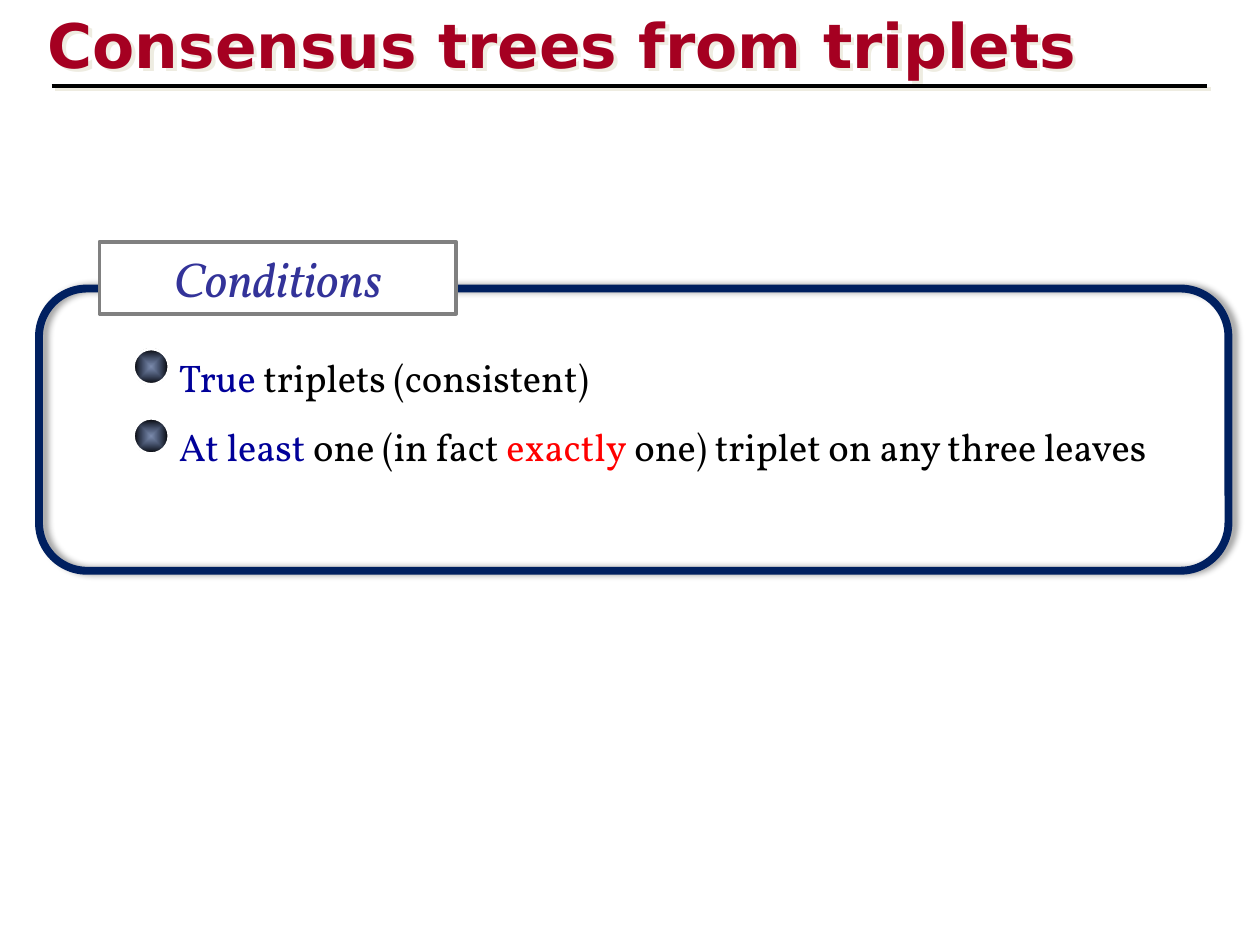
import pptx
import pptx.dml.color
import pptx.enum.shapes
import pptx.enum.text
import pptx.oxml
import pptx.oxml.ns
import pptx.util
from pptx.util import Inches

RGBColor = pptx.dml.color.RGBColor
MSO_SHAPE = pptx.enum.shapes.MSO_SHAPE
ANCHOR = pptx.enum.text.MSO_ANCHOR
ALIGN = pptx.enum.text.PP_ALIGN

CRIMSON = RGBColor(0xA5, 0x00, 0x21)
BLACK = RGBColor(0x00, 0x00, 0x00)
WHITE = RGBColor(0xFF, 0xFF, 0xFF)
NAVY = RGBColor(0x00, 0x20, 0x60)
BLUE = RGBColor(0x00, 0x00, 0x99)
INDIGO = RGBColor(0x33, 0x33, 0x99)
RED = RGBColor(0xFF, 0x00, 0x00)
GRAY = RGBColor(0x80, 0x80, 0x80)
CREAM = RGBColor(0xEE, 0xEC, 0xE1)

TITLE_FONT = "DejaVu Sans"
BODY_FONT = "Vollkorn"
ROW_PITCH = 0.55
LINE_HEIGHT = 30.6

CONDITIONS = [
    [("True", BLUE), (" triplets (consistent)", BLACK)],
    [("At least ", BLUE), ("one (in fact ", BLACK), ("exactly", RED),
     (" one) triplet on any three leaves", BLACK)],
]


def add_shadow(element, color, alpha, blur, dist, angle):
    effects = pptx.oxml.parse_xml(
        f'<a:effectLst {pptx.oxml.ns.nsdecls("a")}>'
        f'<a:outerShdw blurRad="{pptx.util.Pt(blur)}" dist="{pptx.util.Pt(dist)}" '
        f'dir="{angle * 60000}" algn="tl" rotWithShape="0"><a:srgbClr val="{color}">'
        f'<a:alpha val="{alpha * 1000}"/></a:srgbClr></a:outerShdw></a:effectLst>')
    element._element.spPr.append(effects)


def add_run(paragraph, text, font, size, color, bold=False, italic=False):
    run = paragraph.add_run()
    run.text = text
    run.font.name = font
    run.font.size = pptx.util.Pt(size)
    run.font.color.rgb = color
    run.font.bold = bold
    run.font.italic = italic


def place(placeholder, left, top, width, height, anchor):
    placeholder.left, placeholder.top = Inches(left), Inches(top)
    placeholder.width, placeholder.height = Inches(width), Inches(height)
    frame = placeholder.text_frame
    frame.word_wrap = True
    frame.auto_size = pptx.enum.text.MSO_AUTO_SIZE.NONE
    frame.vertical_anchor = anchor
    return frame


def add_outlined(slide, kind, left, top, width, height, color, weight):
    outlined = slide.shapes.add_shape(
        kind, Inches(left), Inches(top), Inches(width), Inches(height))
    outlined.fill.background()
    outlined.line.color.rgb = color
    outlined.line.width = pptx.util.Pt(weight)
    return outlined


def add_title(slide):
    title = slide.shapes.title
    frame = place(title, 0.28, 0.01, 8.94, 0.67, ANCHOR.MIDDLE)
    heading = frame.paragraphs[0]
    heading.alignment = ALIGN.LEFT
    add_run(heading, "Consensus trees from triplets", TITLE_FONT, 35.1, CRIMSON, bold=True)
    add_shadow(title, CREAM, 100, 0, 2.8, 45)

    rule = slide.shapes.add_connector(
        pptx.enum.shapes.MSO_CONNECTOR.STRAIGHT,
        Inches(0.41), Inches(0.68), Inches(9.58), Inches(0.68))
    rule.line.color.rgb = BLACK
    rule.line.width = pptx.util.Pt(2.25)
    add_shadow(rule, CREAM, 100, 0, 2.8, 45)


def add_conditions(slide):
    frame = place(slide.placeholders[1], 1.32, 2.7, 8.68, 1.1, ANCHOR.TOP)
    for index, pieces in enumerate(CONDITIONS):
        condition = frame.paragraphs[0] if index == 0 else frame.add_paragraph()
        condition.line_spacing = pptx.util.Pt(LINE_HEIGHT)
        condition.space_before = pptx.util.Pt(0)
        condition.space_after = pptx.util.Pt(ROW_PITCH * 72 - LINE_HEIGHT)
        properties = condition._p.get_or_add_pPr()
        properties.set("marL", "0")
        properties.set("indent", "0")
        properties.append(pptx.oxml.parse_xml(f'<a:buNone {pptx.oxml.ns.nsdecls("a")}/>'))
        for text, color in pieces:
            add_run(condition, text, BODY_FONT, 22, color)
        add_marker(slide, 2.77 + index * ROW_PITCH)


def add_marker(slide, top):
    marker = add_outlined(slide, MSO_SHAPE.OVAL, 1.06, top, 0.28, 0.28, WHITE, 1.5)
    marker.shadow.inherit = False
    gradient = pptx.oxml.parse_xml(
        f'<a:gradFill {pptx.oxml.ns.nsdecls("a")} rotWithShape="1"><a:gsLst>'
        f'<a:gs pos="0"><a:srgbClr val="{NAVY}"><a:alpha val="51000"/></a:srgbClr></a:gs>'
        f'<a:gs pos="100000"><a:srgbClr val="{BLACK}"/></a:gs></a:gsLst>'
        '<a:path path="shape">'
        '<a:fillToRect l="50000" t="50000" r="50000" b="50000"/></a:path></a:gradFill>')
    properties = marker._element.spPr
    properties.replace(properties.find(pptx.oxml.ns.qn("a:noFill")), gradient)


def add_panel(slide):
    panel = add_outlined(
        slide, MSO_SHAPE.ROUNDED_RECTANGLE, 0.31, 2.29, 9.44, 2.24, NAVY, 4.5)
    panel.adjustments[0] = 0.17
    add_shadow(panel, BLACK, 40, 4, 3, 0)

    label = add_outlined(slide, MSO_SHAPE.RECTANGLE, 0.79, 1.92, 2.83, 0.57, GRAY, 2.25)
    label.shadow.inherit = False
    label.fill.solid()
    label.fill.fore_color.rgb = WHITE
    label.text_frame.word_wrap = True
    label.text_frame.vertical_anchor = ANCHOR.TOP
    caption = label.text_frame.paragraphs[0]
    caption.alignment = ALIGN.CENTER
    add_run(caption, "Conditions", BODY_FONT, 28, INDIGO, italic=True)


def main():
    deck = pptx.Presentation()
    deck.slide_width, deck.slide_height = Inches(10), Inches(7.5)
    slide = deck.slides.add_slide(deck.slide_layouts[1])
    add_title(slide)
    add_conditions(slide)
    add_panel(slide)
    deck.save("out.pptx")


if __name__ == "__main__":
    main()
